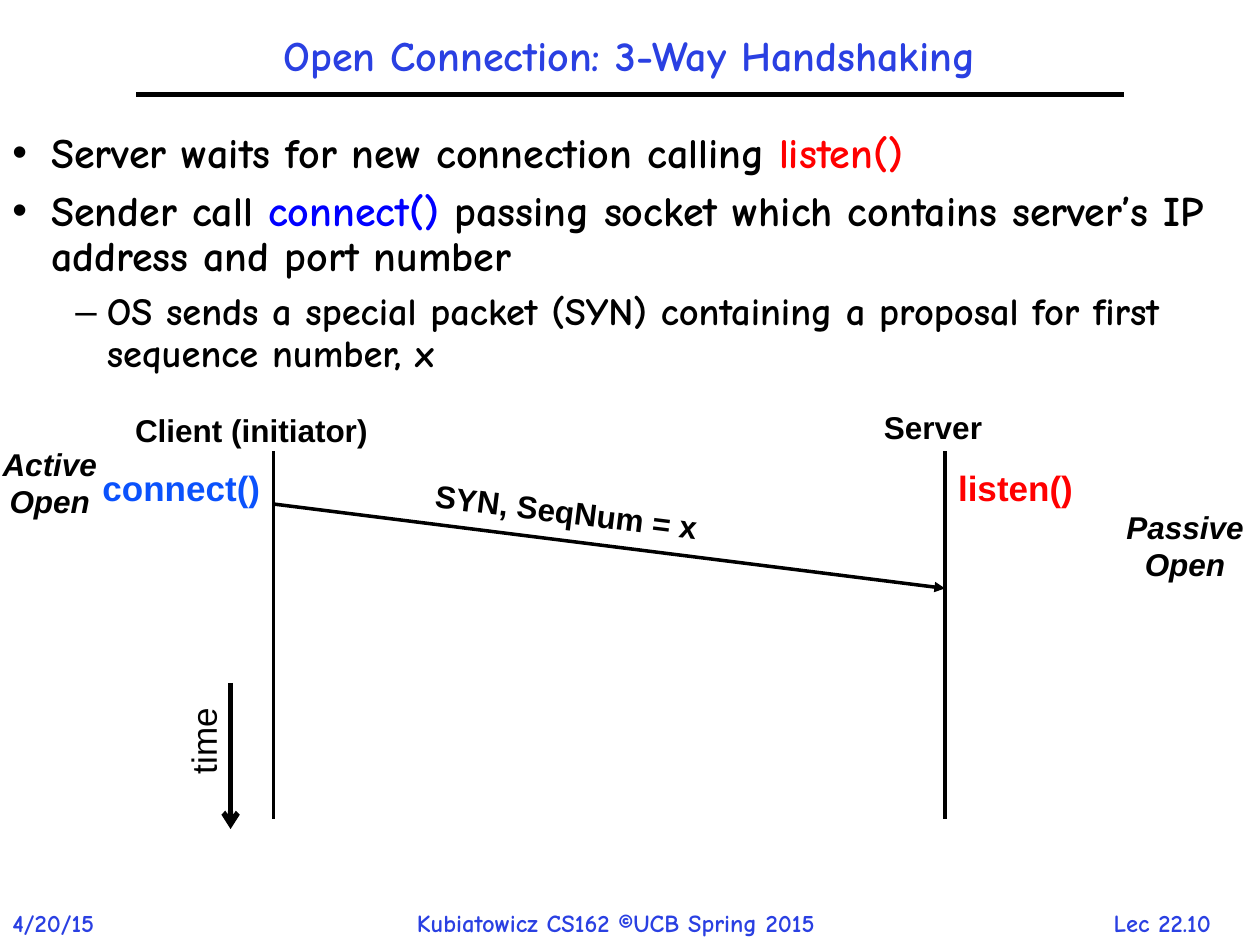
from lxml import etree
from pptx import Presentation
from pptx import util as u
from pptx.dml.color import RGBColor
from pptx.enum import shapes, text
from pptx.oxml.ns import qn

BLACK = RGBColor(0x00, 0x00, 0x00)
RED = RGBColor(0xFF, 0x00, 0x00)
BLUE = RGBColor(0x00, 0x00, 0xFF)
CALL_BLUE = RGBColor(0x0B, 0x52, 0xFC)
TITLE_BLUE = RGBColor(0x2A, 0x40, 0xE2)
COMIC, ARIAL = "Comic Neue", "Arial"
LEFT, CENTER = text.PP_ALIGN.LEFT, text.PP_ALIGN.CENTER

deck = Presentation()
deck.slide_width, deck.slide_height = u.Inches(10), u.Inches(7.5)
page = deck.slides.add_slide(deck.slide_layouts[6])


def add_text(place, paragraphs, size, font, align=LEFT, bold=True, italic=False, wrap=False):
    """Add a text box; each paragraph is a list of (words, colour) runs."""
    box = page.shapes.add_textbox(*map(u.Inches, place))
    frame = box.text_frame
    frame.word_wrap = wrap
    for index, runs in enumerate(paragraphs):
        para = frame.add_paragraph() if index else frame.paragraphs[0]
        para.alignment = align
        for words, colour in runs:
            for row, line in enumerate(words.split("\n")):
                if row:
                    para.add_line_break()
                span = para.add_run()
                span.text = line
                span.font.size, span.font.name = u.Pt(size), font
                span.font.bold, span.font.italic = bold, italic
                span.font.color.rgb = colour
    return box


def add_line(x1, y1, x2, y2, width, head=None):
    """Add a straight black line, with an optional arrowhead at its end."""
    line = page.shapes.add_connector(
        shapes.MSO_CONNECTOR.STRAIGHT, *map(u.Inches, (x1, y1, x2, y2)))
    line.line.color.rgb = BLACK
    line.line.width = u.Pt(width)
    if head:
        etree.SubElement(line.line._get_or_add_ln(), qn("a:tailEnd"), type=head)
    etree.SubElement(line._element.spPr, qn("a:effectLst"))


# Footer
for place, words, align in [
    ((0, 7.16, 1, 0.34), "4/20/15", LEFT),
    ((3.21, 7.16, 3.87, 0.34), "Kubiatowicz CS162 ©UCB Spring 2015", LEFT),
    ((8.56, 7.16, 1.33, 0.34), "Lec 22.10", CENTER),
]:
    add_text(place, [[(words, TITLE_BLUE)]], 14, COMIC, align)

# Title and rule
title = add_text((1.08, 0.17, 7.83, 0.58),
                 [[("Open Connection: 3-Way Handshaking", TITLE_BLUE)]],
                 24, COMIC, CENTER, wrap=True)
title.text_frame.vertical_anchor = text.MSO_ANCHOR.MIDDLE
title.text_frame.paragraphs[0].line_spacing = 0.9
add_line(1.08, 0.75, 8.92, 0.75, 3)

# Bulleted body
body = add_text((0, 1, 9.75, 2.25), [
    [("Server waits for new connection calling ", BLACK), ("listen()", RED)],
    [("Sender call ", BLACK), ("connect() ", BLUE),
     ("passing socket which contains server’s IP address and port number", BLACK)],
    [("OS sends a special packet (SYN) containing a proposal for first "
      "sequence number, x", BLACK)],
], 24, COMIC, wrap=True)
bullets = [("•", 0.31, 0.31, 0), ("•", 0.31, 0.31, 7.2), ("–", 0.75, 0.25, 6.6)]
for para, (mark, margin, hang, before) in zip(body.text_frame.paragraphs, bullets):
    para.line_spacing = 0.9
    para.space_before = u.Pt(before)
    props = para._p.get_or_add_pPr()
    props.set("marL", str(u.Inches(margin)))
    props.set("indent", str(-u.Inches(hang)))
    etree.SubElement(props, qn("a:buFont"), typeface=ARIAL)
    etree.SubElement(props, qn("a:buChar"), char=mark)
detail = body.text_frame.paragraphs[2]
detail.level = 1
detail.runs[0].font.size = u.Pt(22)

# Client and server lifelines
CLIENT_X, SERVER_X = 2.17, 7.5
for x in (CLIENT_X, SERVER_X):
    add_line(x, 3.58, x, 6.5, 2)

# SYN message
add_line(CLIENT_X, 4, SERVER_X, 4.67, 2, "triangle")
message = add_text((3.33, 3.86, 2.33, 0.4), [[("SYN, SeqNum = x", BLACK)]], 18, ARIAL, CENTER)
message.rotation = 7.2

# Diagram labels
for place, words, colour, size, italic in [
    ((0.97, 3.21, 2.05, 0.4), "Client (initiator)", BLACK, 18, False),
    ((6.91, 3.19, 0.99, 0.4), "Server", BLACK, 18, False),
    ((-0.11, 3.48, 1.01, 0.7), "Active\nOpen", BLACK, 18, True),
    ((8.81, 3.98, 1.19, 0.7), "Passive\nOpen", BLACK, 18, True),
    ((0.71, 3.65, 1.46, 0.43), "connect()", CALL_BLUE, 20, False),
    ((7.5, 3.65, 1.12, 0.43), "listen()", RED, 20, False),
]:
    add_text(place, [[(words, colour)]], size, ARIAL, CENTER, italic=italic)

# Time axis
time_label = add_text((1.25, 5.66, 0.73, 0.44), [[("time", BLACK)]], 20, ARIAL, bold=False)
time_label.rotation = 270
add_line(1.83, 5.42, 1.83, 6.58, 3, "arrow")

deck.save("out.pptx")
